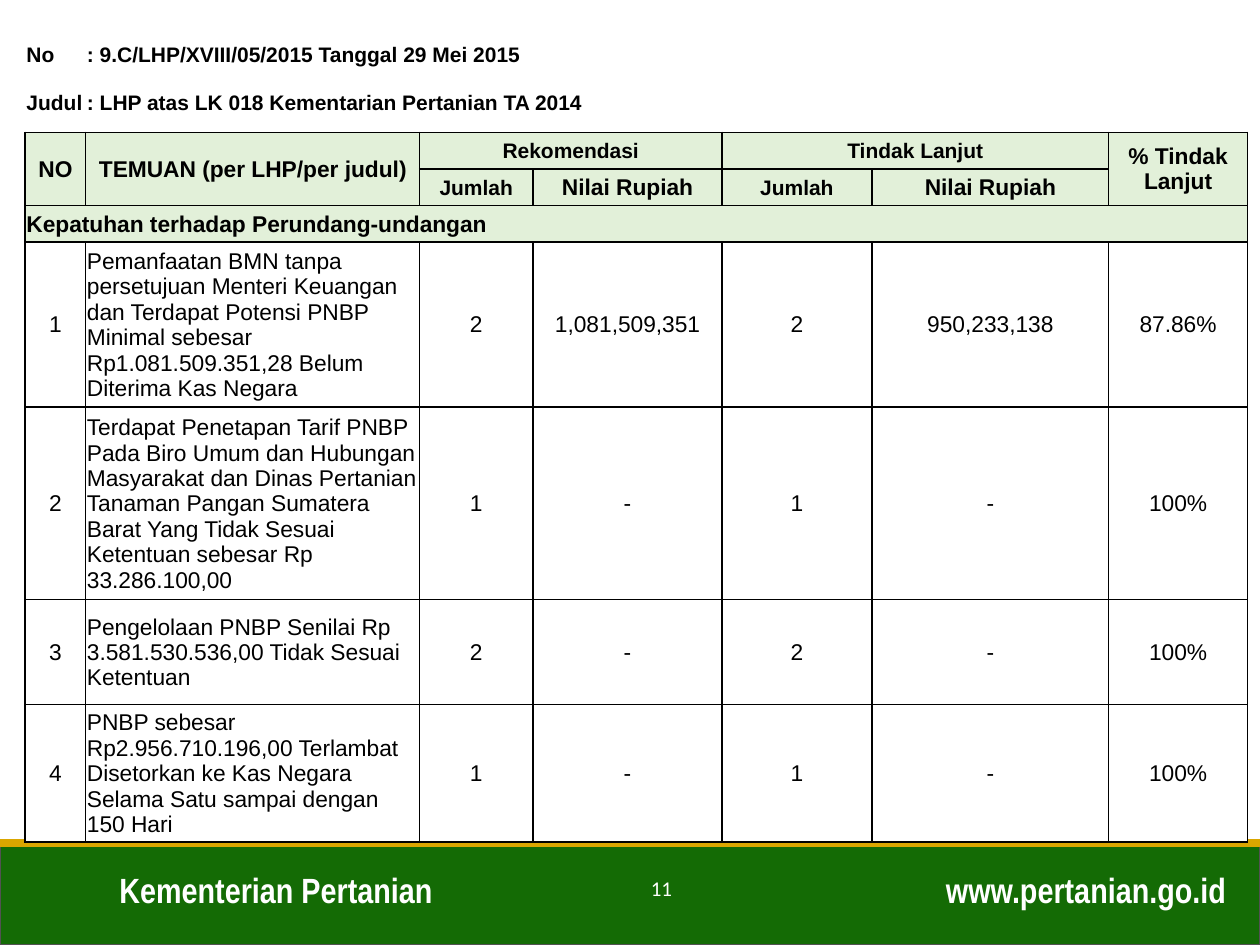
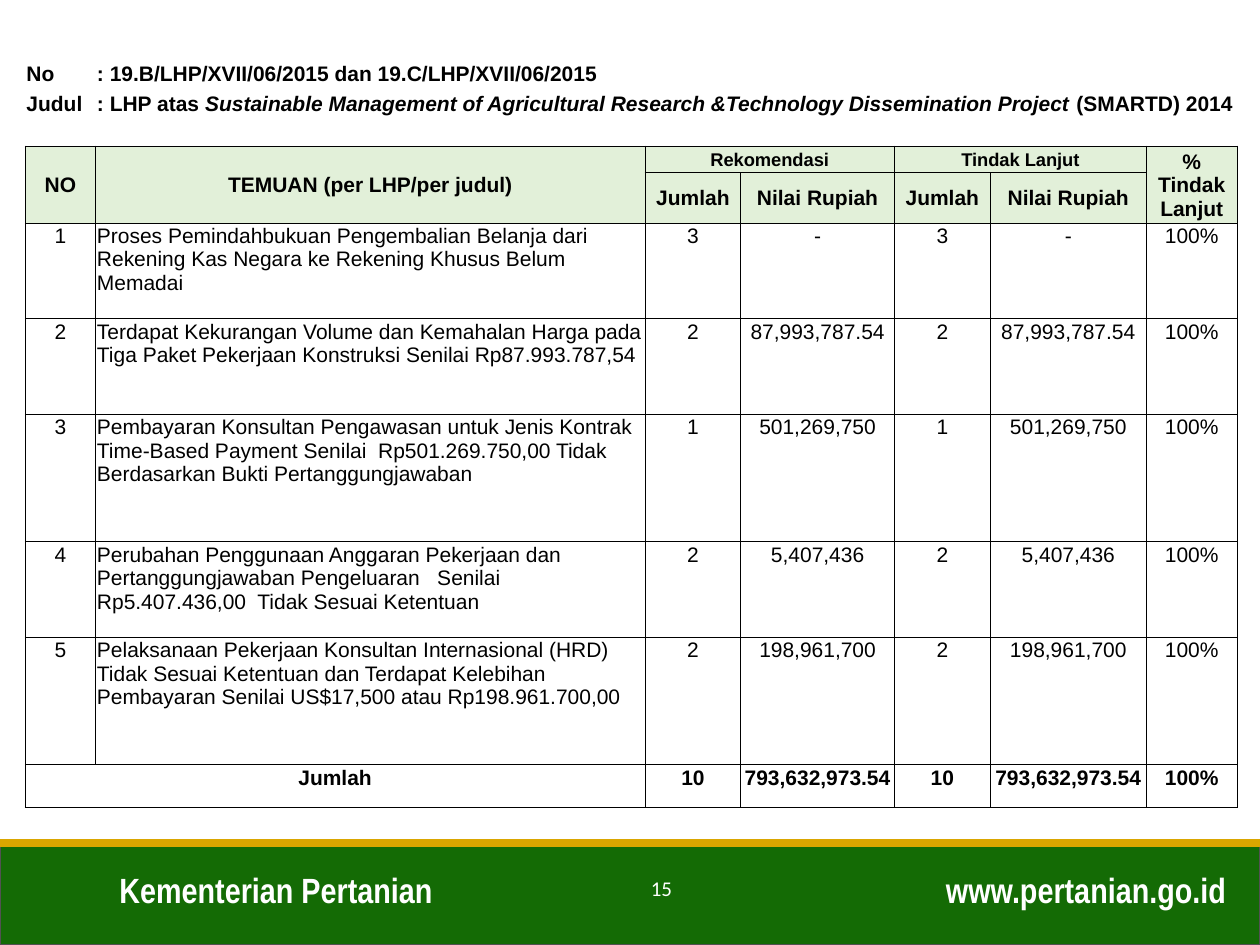
from lxml import etree
from pptx import Presentation
from pptx.dml.color import RGBColor
from pptx.enum.shapes import MSO_CONNECTOR, MSO_SHAPE
from pptx.enum.text import MSO_ANCHOR, PP_ALIGN
from pptx.oxml.ns import qn
from pptx.util import Inches, Pt

LEFT, MID, RIGHT = PP_ALIGN.LEFT, PP_ALIGN.CENTER, PP_ALIGN.RIGHT
TOP, CENTRE, LOW = MSO_ANCHOR.TOP, MSO_ANCHOR.MIDDLE, MSO_ANCHOR.BOTTOM
RECT, LINE = MSO_SHAPE.RECTANGLE, MSO_CONNECTOR.STRAIGHT

HEX = {"green": "146B05", "gold": "DAA600", "edge": "525252",
       "head": "E2F0D9", "white": "FFFFFF", "black": "000000"}
RGB = {name: RGBColor.from_string(code) for name, code in HEX.items()}

# Footer texts: left, top, width, height, align, size, font, bold
FOOT = [
    ("Kementerian Pertanian", 0.85, 6.84, 3.66, 0.44, LEFT, 20, "Arial Narrow", True),
    ("www.pertanian.go.id", 7.05, 6.84, 2.78, 0.44, RIGHT, 20, "Arial Narrow", True),
    ("{page}", 5, 6.9, 0.5, 0.43, MID, 12, "Calibri", False),
]

# Headings that both tables use
NO, FIND, SHARE = "NO", "TEMUAN (per LHP/per judul)", "% Tindak Lanjut"
GROUPS = [NO, FIND, "Rekomendasi", "Tindak Lanjut", SHARE]
PAIRS = ["", "", "Jumlah", "Nilai Rupiah", "Jumlah", "Nilai Rupiah", ""]
SPAN1 = [1, 1, 1, 2, 2, 2, 1]
SPAN2 = [1, 1, 1, 3, 1, 2, 1]

# Rows: kind, height, column spans, texts (*...* is italic)
# Kinds: title, head, part, body, total
REPORTS = [
    {
        "page": 11, "top": 0.29, "line": 1, "size": 13,
        "small": {"Rekomendasi": 12, "Tindak Lanjut": 12, "Jumlah": 12},
        "anchor": {"title": CENTRE, "body": CENTRE},
        "cols": [0.48, 2.65, 0.9, 0.85, 0.65, 1.15, 0.04, 0.92, 0.96, 1.1],
        "rows": [
            ("title", 0.29, [1, 3, 2, 2, 2],
             ["No", ": 9.C/LHP/XVIII/05/2015 Tanggal 29 Mei 2015", "", "", ""]),
            ("title", 0.47, [1, 3, 6],
             ["Judul", ": LHP atas LK 018 Kementarian Pertanian TA 2014", ""]),
            ("head", 0.29, [1, 1, 3, 4, 1], GROUPS),
            ("head", 0.29, SPAN1, PAIRS),
            ("part", 0.29, [10], ["Kepatuhan terhadap Perundang-undangan"]),
            ("body", 1.21, SPAN1,
             ["1", "Pemanfaatan BMN tanpa persetujuan Menteri Keuangan dan Terdapat "
              "Potensi PNBP Minimal sebesar Rp1.081.509.351,28 Belum Diterima Kas Negara",
              "2", "1,081,509,351", "2", "950,233,138", "87.86%"]),
            ("body", 1.38, SPAN1,
             ["2", "Terdapat Penetapan Tarif PNBP Pada Biro Umum dan Hubungan "
              "Masyarakat dan Dinas Pertanian Tanaman Pangan Sumatera Barat Yang "
              "Tidak Sesuai Ketentuan sebesar Rp 33.286.100,00",
              "1", "-", "1", "-", "100%"]),
            ("body", 0.83, SPAN1,
             ["3", "Pengelolaan PNBP Senilai Rp 3.581.530.536,00 Tidak Sesuai Ketentuan",
              "2", "-", "2", "-", "100%"]),
            ("body", 0.85, SPAN1,
             ["4", "PNBP sebesar Rp2.956.710.196,00 Terlambat Disetorkan ke Kas "
              "Negara Selama Satu sampai dengan 150 Hari",
              "1", "-", "1", "-", "100%"]),
        ],
    },
    {
        "page": 15, "top": 0.44, "line": 0.5, "size": 12,
        "small": {"Rekomendasi": 10.5, "Tindak Lanjut": 10.5},
        "anchor": {"title": LOW, "body": TOP, "total": TOP},
        "cols": [0.56, 4.36, 0.76, 0.28, 0.9, 0.04, 0.76, 0.61, 0.63, 0.72],
        "rows": [
            ("title", 0.24, [1, 3, 1, 3, 2],
             ["No", ": 19.B/LHP/XVII/06/2015 dan 19.C/LHP/XVII/06/2015", "", "", ""]),
            ("title", 0.24, [1, 9],
             ["Judul", ": LHP atas *Sustainable Management of Agricultural Research "
              "&Technology Dissemination Project *(SMARTD) 2014"]),
            ("title", 0.24, [1, 9], ["", ""]),
            ("head", 0.21, [1, 1, 4, 3, 1], GROUPS),
            ("head", 0.4, SPAN2, PAIRS),
            ("body", 0.76, SPAN2,
             ["1", "Proses Pemindahbukuan Pengembalian Belanja dari Rekening Kas "
              "Negara ke Rekening Khusus Belum Memadai",
              "3", "-", "3", "-", "100%"]),
            ("body", 0.76, SPAN2,
             ["2", "Terdapat Kekurangan Volume dan Kemahalan Harga pada Tiga Paket "
              "Pekerjaan Konstruksi Senilai Rp87.993.787,54",
              "2", "87,993,787.54", "2", "87,993,787.54", "100%"]),
            ("body", 1.01, SPAN2,
             ["3", "Pembayaran Konsultan Pengawasan untuk Jenis Kontrak Time-Based "
              "Payment Senilai  Rp501.269.750,00 Tidak Berdasarkan Bukti "
              "Pertanggungjawaban",
              "1", "501,269,750", "1", "501,269,750", "100%"]),
            ("body", 0.76, SPAN2,
             ["4", "Perubahan Penggunaan Anggaran Pekerjaan dan Pertanggungjawaban "
              "Pengeluaran   Senilai  Rp5.407.436,00  Tidak Sesuai Ketentuan",
              "2", "5,407,436", "2", "5,407,436", "100%"]),
            ("body", 1.01, SPAN2,
             ["5", "Pelaksanaan Pekerjaan Konsultan Internasional (HRD) Tidak Sesuai "
              "Ketentuan dan Terdapat Kelebihan Pembayaran Senilai US$17,500 atau "
              "Rp198.961.700,00",
              "2", "198,961,700", "2", "198,961,700", "100%"]),
            ("total", 0.34, [2, 1, 3, 1, 2, 1],
             ["Jumlah", "10", "793,632,973.54", "10", "793,632,973.54", "100%"]),
        ],
    },
]


def style(para, size, face, bold, tint, align):
    para.alignment = align
    font = para.font
    font.size, font.name, font.bold = Pt(size), face, bold
    font.color.rgb = RGB[tint]


def border(cell, sides, width):
    """Draw the named sides of a cell and clear the others."""
    props = cell._tc.get_or_add_tcPr()
    for side in "LRTB":
        edge = etree.SubElement(props, qn("a:ln" + side), w=str(Pt(width)))
        if side in sides:
            fill = etree.SubElement(edge, qn("a:solidFill"))
            etree.SubElement(fill, qn("a:srgbClr"), val=HEX["black"])
        else:
            etree.SubElement(edge, qn("a:noFill"))


deck = Presentation()
deck.slide_width, deck.slide_height = Inches(10), Inches(7.5)

for report in REPORTS:
    slide = deck.slides.add_slide(deck.slide_layouts[6])
    shapes = slide.shapes

    # Footer band with its gold rule
    band = shapes.add_shape(RECT, 0, Inches(6.69), Inches(10), Inches(0.81))
    band.shadow.inherit = False
    band.fill.solid()
    band.fill.fore_color.rgb = RGB["green"]
    band.line.color.rgb = RGB["edge"]
    band.line.width = Pt(1)
    rule = shapes.add_connector(LINE, 0, Inches(6.69), Inches(10), Inches(6.69))
    rule.line.color.rgb = RGB["gold"]
    rule.line.width = Pt(4.5)
    etree.SubElement(rule._element.spPr, qn("a:effectLst"))

    # Footer texts and page number
    for text, left, top, wide, high, align, size, face, bold in FOOT:
        box = shapes.add_textbox(Inches(left), Inches(top), Inches(wide), Inches(high))
        box.text_frame.word_wrap = True
        para = box.text_frame.paragraphs[0]
        para.text = text.format(page=report["page"])
        style(para, size, face, bold, "white", align)

    # Table grid
    cols, rows = report["cols"], report["rows"]
    kinds = [row[0] for row in rows]
    table = shapes.add_table(
        len(rows), len(cols), Inches(0.2), Inches(report["top"]),
        Inches(sum(cols)), Inches(sum(row[1] for row in rows))).table
    table.first_row = table.horz_banding = False
    for col, wide in zip(table.columns, cols):
        col.width = Inches(wide)

    # Look of every cell, covered ones included
    for r, (kind, high, spans, texts) in enumerate(rows):
        table.rows[r].height = Inches(high)
        sides = "LRTB"
        if kind == "title":
            sides = "" if kinds[r + 1] == "title" else "B"
        for cell in table.rows[r].cells:
            border(cell, sides, report["line"])
            cell.fill.solid()
            cell.fill.fore_color.rgb = RGB["head" if kind in ("head", "part") else "white"]
            cell.margin_left = cell.margin_right = cell.margin_top = Inches(0.01)
            cell.margin_bottom = 0
            cell.vertical_anchor = report["anchor"].get(kind, CENTRE)

        # Texts at the start of each span
        c = 0
        for text, span in zip(texts, spans):
            cell = table.cell(r, c)
            para = cell.text_frame.paragraphs[0]
            flush = kind in ("title", "part") or (kind == "body" and c == 1)
            size = 12 if kind == "title" else report["size"]
            if kind == "head":
                size = report["small"].get(text, size)
            style(para, size, "Arial", kind != "body", "black", LEFT if flush else MID)
            for i, part in enumerate(text.split("*")):
                if part:
                    run = para.add_run()
                    run.text = part
                    if i % 2:
                        run.font.italic = True
            if span > 1:
                cell.merge(table.cell(r, c + span - 1))
            c += span

        # Small type keeps empty cells from stretching the row
        for cell in table.rows[r].cells:
            if not cell.text_frame.text:
                etree.SubElement(cell.text_frame.paragraphs[0]._p,
                                 qn("a:endParaRPr"), sz="1000")

    # Headings two rows tall
    head = kinds.index("head")
    for c in (0, 1, 9):
        table.cell(head, c).merge(table.cell(head + 1, c))

deck.save("out.pptx")
